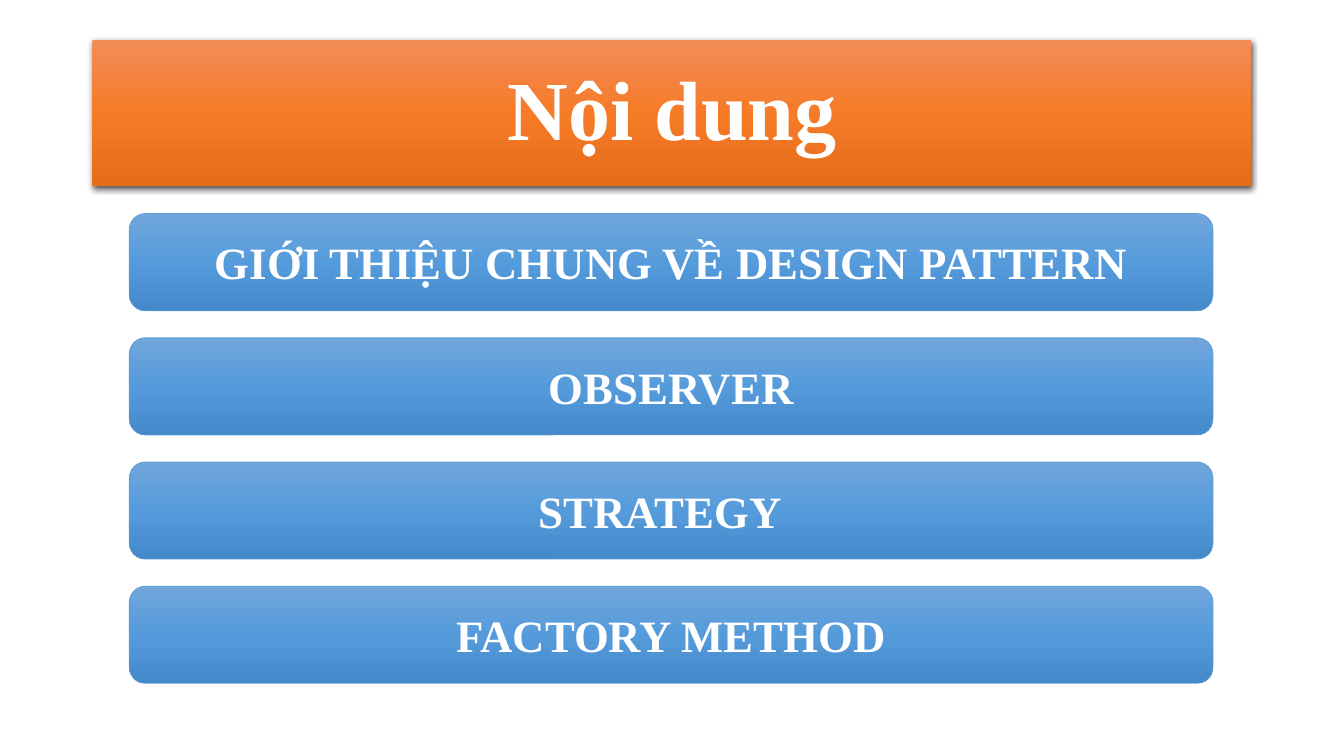
from copy import deepcopy

from lxml import etree
from pptx import Presentation
from pptx.dml.color import RGBColor
from pptx.enum.shapes import MSO_SHAPE
from pptx.enum.text import MSO_ANCHOR, PP_ALIGN
from pptx.oxml.ns import qn
from pptx.util import Cm, Pt

RECTANGLE = MSO_SHAPE.RECTANGLE
ROUNDED = MSO_SHAPE.ROUNDED_RECTANGLE
MIDDLE = MSO_ANCHOR.MIDDLE
CENTER = PP_ALIGN.CENTER

FONT = "Times New Roman"
ORANGES = ["F18C57", "F67B28", "E56C19"]
BLUES = ["71A6DB", "559BDB", "448ACA"]
# Each topic with the extra right inset that moves its text to the left
TOPICS = [
    ("GIỚI THIỆU CHUNG VỀ DESIGN PATTERN", 0),
    ("OBSERVER", 0),
    ("STRATEGY", 0.56),
    ("FACTORY METHOD", 0),
]


def color(hex_string):
    return RGBColor.from_string(hex_string)


def add_bar(slide, kind, left, top, width, height, shades, text, size):
    bar = slide.shapes.add_shape(kind, Cm(left), Cm(top), Cm(width), Cm(height))
    bar.shadow.inherit = False

    # Three-stop gradient from top to bottom
    bar.fill.gradient()
    bar.fill.gradient_angle = 270
    stop_list = bar._element.spPr.find(".//" + qn("a:gsLst"))
    stop_list.append(deepcopy(stop_list[0]))
    for index, (stop, shade) in enumerate(zip(bar.fill.gradient_stops, shades)):
        stop.position = index / 2
        stop.color.rgb = color(shade)

    frame = bar.text_frame
    frame.text = text
    frame.word_wrap = True
    frame.vertical_anchor = MIDDLE
    para = frame.paragraphs[0]
    para.alignment = CENTER
    font = para.runs[0].font
    font.name = FONT
    font.size = Pt(size)
    font.bold = True
    font.color.rgb = color("FFFFFF")
    return bar


deck = Presentation()
deck.slide_width = Cm(33.87)
deck.slide_height = Cm(19.05)
page = deck.slides.add_slide(deck.slide_layouts[6])

# Title banner with a shadow below
title = add_bar(page, RECTANGLE, 2.33, 1.01, 29.21, 3.68, ORANGES, "Nội dung", 60)
title.line.fill.background()
title.text_frame.paragraphs[0].line_spacing = 0.9
effects = title._element.spPr.find(qn("a:effectLst"))
shadow = etree.SubElement(effects, qn("a:outerShdw"), blurRad=str(Pt(4.5)),
                          dist=str(Pt(1.5)), dir="5400000", algn="ctr", rotWithShape="0")
black = etree.SubElement(shadow, qn("a:srgbClr"), val="000000")
etree.SubElement(black, qn("a:alpha"), val="63000")

# Topic bars at equal steps
for row, (topic, inset) in enumerate(TOPICS):
    bar = add_bar(page, ROUNDED, 3.26, 5.38 + row * 3.13, 27.31, 2.45, BLUES, topic, 32)
    bar.line.color.rgb = color("5B9BD5")
    bar.line.width = Pt(0.5)
    bar.text_frame.margin_right = Cm(0.25 + inset)

deck.save("out.pptx")
